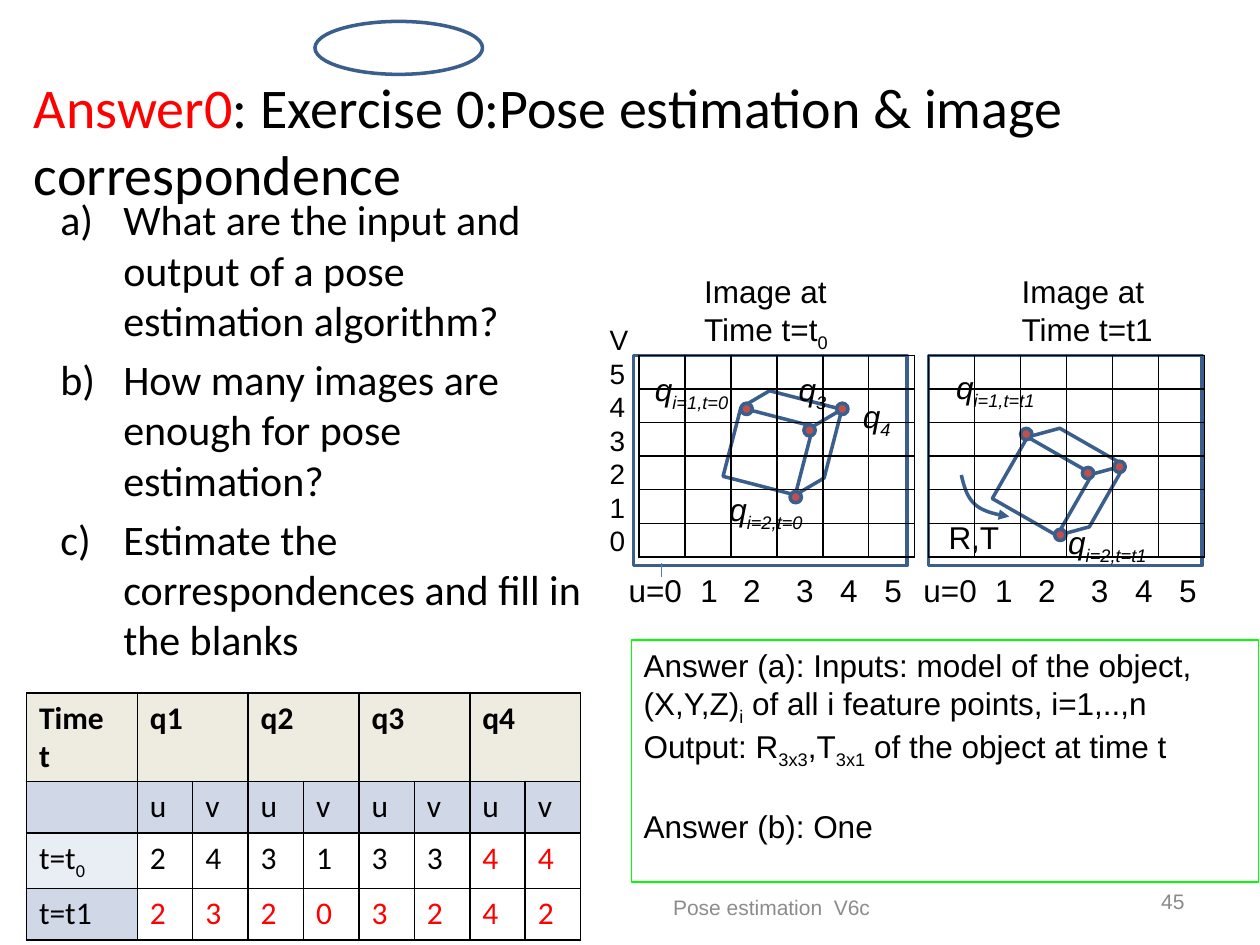
import pptx
import pptx.dml.color
import pptx.enum.shapes
import pptx.enum.text
import pptx.oxml
import pptx.oxml.ns
import pptx.util

Inches = pptx.util.Inches
Pt = pptx.util.Pt
SHAPE = pptx.enum.shapes.MSO_SHAPE
ALIGN = pptx.enum.text.PP_ALIGN
ANCHOR = pptx.enum.text.MSO_ANCHOR
BLACK, RED, NAVY = "000000", "FF0000", "3A5F8C"
HEADER, BAND, LIGHT_BAND = "EEECE1", "D0D8E8", "E9EDF4"


def rgb(value):
    return pptx.dml.color.RGBColor.from_string(value)


def add_xml(parent, tag, **attributes):
    element = pptx.oxml.parse_xml(f"<a:{tag} {pptx.oxml.ns.nsdecls('a')}/>")
    for name, value in attributes.items():
        element.set(name, str(value))
    parent.append(element)
    return element


def write_text(frame, lines, size=18, font="Arial", color=BLACK, bold=False,
               italic=False, align=ALIGN.LEFT, anchor=ANCHOR.TOP, wrap=True,
               marked_color=None, space_before=0, lettered=False, tabs=()):
    """Parts between bars are subscripts, or take marked_color when it is given."""
    frame.word_wrap = wrap
    frame.vertical_anchor = anchor
    for index, line in enumerate(lines):
        paragraph = frame.paragraphs[0] if index == 0 else frame.add_paragraph()
        paragraph.alignment = align
        paragraph.space_before = Pt(space_before)
        properties = paragraph._p.get_or_add_pPr()
        if lettered:
            properties.set("marL", str(Inches(0.5)))
            properties.set("indent", str(-Inches(0.5)))
            add_xml(properties, "buAutoNum", type="alphaLcParenR")
        if tabs:
            stops = add_xml(properties, "tabLst")
            for position in tabs:
                add_xml(stops, "tab", pos=Inches(position), algn="l")
        for part_index, part in enumerate(line.split("|")):
            if not part:
                continue
            marked = part_index % 2 == 1
            run = paragraph.add_run()
            run.text = part
            run.font.size = Pt(size)
            run.font.name = font
            run.font.bold = bold
            run.font.italic = italic
            run.font.color.rgb = rgb(marked_color if marked and marked_color else color)
            if marked and not marked_color:
                run._r.get_or_add_rPr().set("baseline", "-25000")


def add_text(slide, left, top, width, height, *lines, **text_format):
    box = slide.shapes.add_textbox(*map(Inches, (left, top, width, height)))
    write_text(box.text_frame, lines, **text_format)


def style_shape(shape, line=NAVY, weight=2, fill=None):
    shape.shadow.inherit = False
    shape.line.color.rgb = rgb(line)
    shape.line.width = Pt(weight)
    if fill:
        shape.fill.solid()
        shape.fill.fore_color.rgb = rgb(fill)
    else:
        shape.fill.background()


def add_shape(slide, kind, left, top, width, height, rotation=0, **style):
    shape = slide.shapes.add_shape(kind, *map(Inches, (left, top, width, height)))
    shape.rotation = rotation
    style_shape(shape, **style)
    return shape


def add_points(slide, centers):
    for x, y in centers:
        add_shape(slide, SHAPE.OVAL, x - 0.05, y - 0.05, 0.09, 0.09, fill="C0504D")


def add_motion_arrow(slide):
    start, control_1, control_2, end = (7.63, 3.77), (7.68, 4.0), (7.75, 4.06), (8.01, 4.1)
    curve = []
    for step in range(21):
        t = step / 20
        weights = ((1 - t) ** 3, 3 * t * (1 - t) ** 2, 3 * t * t * (1 - t), t ** 3)
        points = (start, control_1, control_2, end)
        curve.append(tuple(Inches(sum(w * p[axis] for w, p in zip(weights, points)))
                           for axis in (0, 1)))
    builder = slide.shapes.build_freeform(*curve[0])
    builder.add_line_segments(curve[1:], close=False)
    arrow = builder.convert_to_shape()
    style_shape(arrow)
    add_xml(arrow.line._get_or_add_ln(), "tailEnd", type="triangle")


def add_tick(slide):
    tick = slide.shapes.add_connector(pptx.enum.shapes.MSO_CONNECTOR.STRAIGHT,
                                      Inches(5.25), Inches(4.47), Inches(5.25), Inches(4.58))
    tick.line.color.rgb = rgb("4B7EBC")
    tick.line.width = Pt(0.75)
    add_xml(tick._element.spPr, "effectLst")


def style_cell(cell, fill=None):
    properties = cell._tc.get_or_add_tcPr()
    for side in ("lnL", "lnR", "lnT", "lnB"):
        border = add_xml(properties, side, w=Pt(1))
        add_xml(add_xml(border, "solidFill"), "srgbClr", val=BLACK)
    if fill:
        cell.fill.solid()
        cell.fill.fore_color.rgb = rgb(fill)
    else:
        cell.fill.background()


def add_table(slide, left, top, column_widths, row_heights):
    table = slide.shapes.add_table(
        len(row_heights), len(column_widths), Inches(left), Inches(top),
        Inches(sum(column_widths)), Inches(sum(row_heights))).table
    table.first_row = table.horz_banding = False
    for column, width in zip(table.columns, column_widths):
        column.width = Inches(width)
    for row, height in zip(table.rows, row_heights):
        row.height = Inches(height)
    return table


def add_grid(slide, left, top):
    table = add_table(slide, left, top, [2.19 / 6] * 6, [1.6 / 6] * 6)
    for cell in table.iter_cells():
        cell.margin_top = cell.margin_bottom = 0
        add_xml(cell.text_frame.paragraphs[0]._p, "endParaRPr", sz=800)
        style_cell(cell)


def add_correspondences(slide):
    table = add_table(slide, 0.21, 5.5, [0.88] + [0.44] * 8, [0.7] + [0.41] * 3)
    rows = [
        ["Time\nt", "q1", "", "q2", "", "q3", "", "q4", ""],
        [""] + ["u", "v"] * 4,
        ["t=t|0|", *"24313344"],
        ["t=t1", *"23203242"],
    ]
    for r, row in enumerate(rows):
        for c, text in enumerate(row):
            cell = table.cell(r, c)
            answered = (r == 2 and c > 6) or (r == 3 and c > 0)
            if text:
                write_text(cell.text_frame, text.split("\n"), font="Calibri",
                           bold=r == 0, color=RED if answered else BLACK)
            if r < 2:
                fill = (HEADER, BAND)[r]
            else:
                fill = (LIGHT_BAND, BAND)[r - 2] if c == 0 else None
            style_cell(cell, fill)
    for c in range(1, 9, 2):
        table.cell(0, c).merge(table.cell(0, c + 1))


def add_images(slide):
    for left in (5.03, 7.37):
        add_shape(slide, SHAPE.RECTANGLE, left, 2.82, 2.17, 1.67)
    add_shape(slide, SHAPE.CUBE, 5.82, 3.14, 0.78, 0.75, rotation=14.5)
    add_shape(slide, SHAPE.CUBE, 8.01, 3.45, 0.78, 0.75, rotation=29.8)
    add_points(slide, [(8.15, 3.45), (8.64, 3.76), (8.42, 4.25), (8.89, 3.71),
                       (6.32, 3.95), (6.43, 3.42), (6.69, 3.25), (5.93, 3.25)])
    add_motion_arrow(slide)
    add_text(slide, 7.43, 4.06, 0.66, 0.4, "R,T")
    for left, top, width, label in [
            (5.1, 2.89, 0.86, "q|i=1,t=0|"), (5.69, 3.84, 0.86, "q|i=2,t=0|"),
            (8.38, 4.1, 0.9, "q|i=2,t=t1|"), (7.49, 2.87, 0.9, "q|i=1,t=t1|"),
            (6.75, 3.1, 0.44, "q|4|"), (6.24, 2.89, 0.43, "q|3|")]:
        add_text(slide, left, top, width, 0.4, label, italic=True, wrap=False)
    for left, time in ((5.49, "Time t=t|0|"), (8.01, "Time t=t1")):
        add_text(slide, left, 2.11, 1.25, 0.71, "Image at", time, wrap=False)
    add_text(slide, 4.74, 2.51, 0.35, 2.29, "V", *"543210", size=16, wrap=False)
    for grid_left, axis_left in ((5.07, 4.89), (7.37, 7.23)):
        add_grid(slide, grid_left, 2.82)
        add_text(slide, axis_left, 4.48, 2.52, 0.4, "u=0\t1\t2\t3\t4\t5",
                 tabs=(0.57, 0.91, 1.33, 1.68, 2.03))
    add_tick(slide)


def add_answers(slide):
    box = add_shape(slide, SHAPE.RECTANGLE, 5.01, 5.08, 4.98, 1.92, line="00FF00", weight=0.75)
    write_text(box.text_frame, [
        "Answer (a): Inputs: model of the object, (X,Y,Z)|i| of all i feature points, i=1,..,n",
        "Output: R|3x3|,T|3x1| of the object at time t",
        "Answer (b): One"])
    box.text_frame.paragraphs[-1].space_before = Pt(21)


def main():
    presentation = pptx.Presentation()
    presentation.slide_width = Inches(10)
    presentation.slide_height = Inches(7.5)
    slide = presentation.slides.add_slide(presentation.slide_layouts[6])
    add_text(slide, 0.17, 0.67, 9.67, 0.88,
             "|Answer0|: Exercise 0:Pose estimation & image correspondence",
             size=32, font="Calibri", marked_color=RED, anchor=ANCHOR.MIDDLE)
    add_text(slide, 0.38, 1.49, 4.42, 4.32,
             "What are the input and output of a pose estimation algorithm?",
             "How many images are enough for pose estimation?",
             "Estimate the correspondences and fill in the blanks",
             size=24, font="Calibri", space_before=4.8, lettered=True)
    add_text(slide, 4.54, 7, 3.17, 0.4, "Pose estimation  V6c", size=12, color="8C8C8C",
             align=ALIGN.CENTER, anchor=ANCHOR.MIDDLE)
    add_text(slide, 7.17, 6.95, 2.33, 0.4, "45", size=12, color="898989",
             align=ALIGN.RIGHT, anchor=ANCHOR.MIDDLE)
    add_images(slide)
    add_correspondences(slide)
    add_shape(slide, SHAPE.OVAL, 2.5, 0.17, 1.33, 0.42)
    add_answers(slide)
    presentation.save("out.pptx")


if __name__ == "__main__":
    main()
